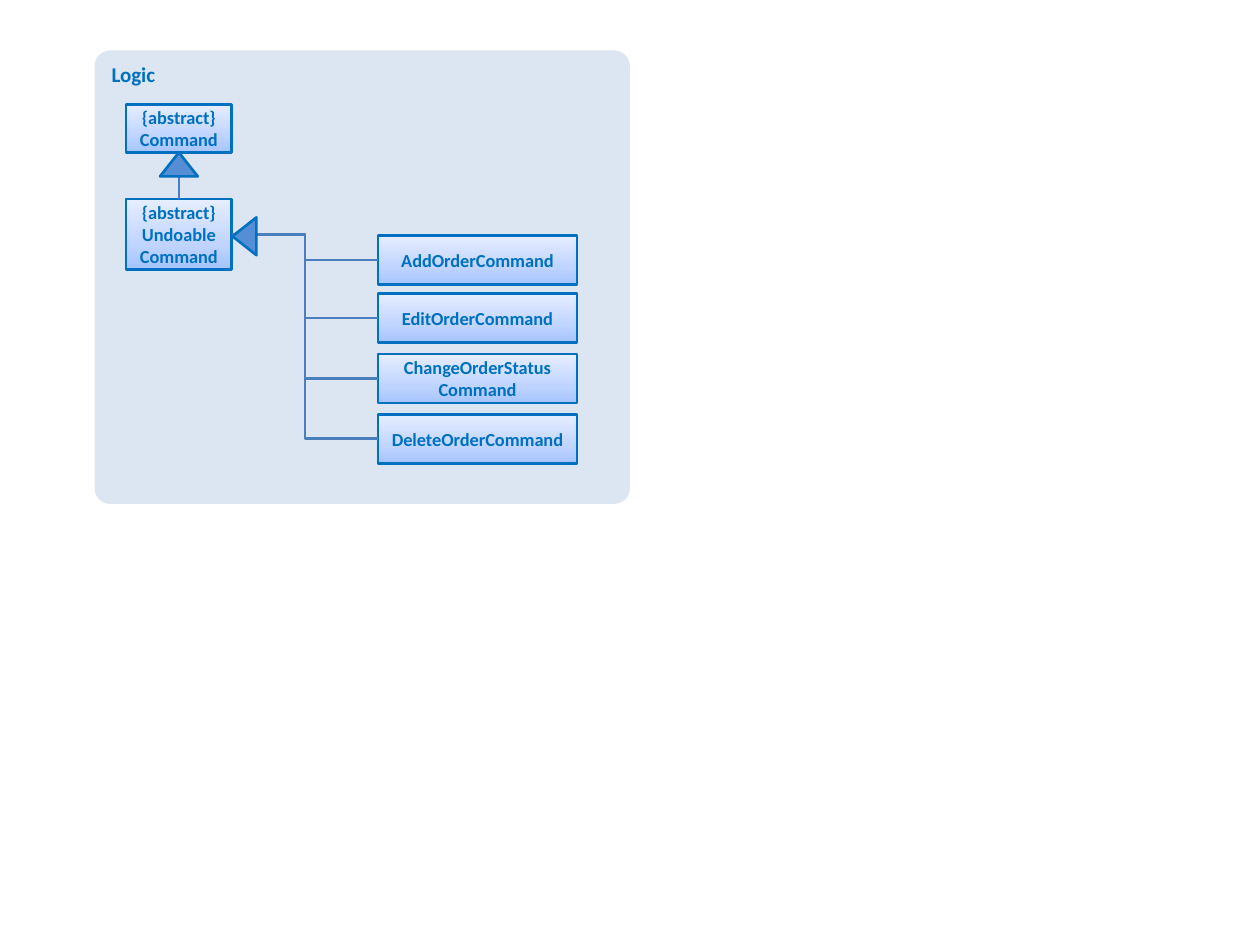
from copy import deepcopy

from pptx import Presentation
from pptx import util as u
from pptx.dml.color import RGBColor
from pptx.enum import shapes, text
from pptx.oxml import parse_xml
from pptx.oxml.ns import nsdecls

INK = {"panel": "DCE6F2", "edge": "0070C0", "wire": "4B7EBC", "head": "558ED5"}
FADE = {0: "A4C4FF", 0.35: "BFD4FF", 1: "E6EEFF"}
KIND = shapes.MSO_SHAPE
LINK = shapes.MSO_CONNECTOR

# Subclass boxes: label and top
SUBS = [
    ("AddOrderCommand", 1.87),
    ("EditOrderCommand", 2.33),
    ("ChangeOrderStatus\nCommand", 2.81),
    ("DeleteOrderCommand", 3.29),
]


def rgb(name):
    return RGBColor.from_string(INK[name])


def put(tree, kind, *box):
    shape = tree.add_shape(kind, *map(u.Inches, box))
    shape.shadow.inherit = False
    return shape


def edge(shape, name):
    shape.line.color.rgb = rgb(name)
    shape.line.width = u.Pt(1.5)


def write(shape, words, size, align, anchor):
    frame = shape.text_frame
    frame.word_wrap = True
    frame.vertical_anchor = anchor
    frame.text = words
    style = {"name": "Calibri", "size": u.Pt(size), "bold": True}
    for para in frame.paragraphs:
        para.alignment = align
        for run in para.runs:
            for key, value in style.items():
                setattr(run.font, key, value)
            run.font.color.rgb = rgb("edge")


def shade(shape):
    """Fill upward with the three-stop gradient."""
    shape.fill.gradient()
    shape.fill.gradient_angle = 90
    first = shape._element.xpath(".//a:gs")[0]
    first.addnext(deepcopy(first))
    for stop, (pos, tint) in zip(shape.fill.gradient_stops, FADE.items()):
        stop.position = pos
        stop.color.rgb = RGBColor.from_string(tint)


def add_class(tree, words, *box):
    shape = put(tree, KIND.RECTANGLE, *box)
    shade(shape)
    edge(shape, "edge")
    write(shape, words, 10.5, text.PP_ALIGN.CENTER, text.MSO_ANCHOR.MIDDLE)
    shape.text_frame.margin_left = shape.text_frame.margin_right = u.Inches(0.05)
    return shape


def add_wire(tree, kind, *ends):
    wire = tree.add_connector(kind, *map(u.Inches, ends))
    edge(wire, "wire")
    wire._element.spPr.append(parse_xml(f"<a:effectLst {nsdecls('a')}/>"))
    return wire


def join(tree, kind, start, side, end, port):
    wire = add_wire(tree, kind, 0, 0, 1, 1)
    wire.begin_connect(start, side)
    wire.end_connect(end, port)


def add_head(tree, left, top, turn):
    head = put(tree, KIND.ISOSCELES_TRIANGLE, left, top, 0.3, 0.19)
    head.rotation = turn
    head.fill.solid()
    head.fill.fore_color.rgb = rgb("head")
    edge(head, "edge")


def add_panel(tree):
    panel = put(tree, KIND.ROUNDED_RECTANGLE, 0.75, 0.4, 4.25, 3.6)
    panel.adjustments[0] = 0.035
    panel.fill.solid()
    panel.fill.fore_color.rgb = rgb("panel")
    panel.line.fill.background()
    write(panel, "Logic", 12, text.PP_ALIGN.LEFT, text.MSO_ANCHOR.TOP)


def add_branch(tree):
    """Carry the trunk down and right to the last subclass."""
    wire = add_wire(tree, LINK.ELBOW, 3.05, 2.85, 2.37, 3.43)
    wire._element.spPr.prstGeom.set("prst", "bentConnector2")
    wire._element.spPr.xfrm.set("rot", str(270 * 60000))


def main():
    prs = Presentation()
    prs.slide_width, prs.slide_height = u.Inches(10), u.Inches(7.5)
    tree = prs.slides.add_slide(prs.slide_layouts[6]).shapes

    # Panel and class boxes
    add_panel(tree)
    base = add_class(tree, "{abstract}\vCommand", 1, 0.83, 0.84, 0.38)
    undo = add_class(tree, "{abstract}\vUndoable\nCommand", 1, 1.58, 0.84, 0.56)
    subs = [add_class(tree, words, 3, top, 1.58, 0.39) for words, top in SUBS]

    # Inheritance lines
    join(tree, LINK.STRAIGHT, base, 2, undo, 0)
    for sub in subs[:-1]:
        join(tree, LINK.ELBOW, undo, 3, sub, 1)
    add_branch(tree)

    # Inheritance heads
    add_head(tree, 1.27, 1.21, 0)
    add_head(tree, 1.79, 1.78, 270)

    prs.save("out.pptx")


if __name__ == "__main__":
    main()
